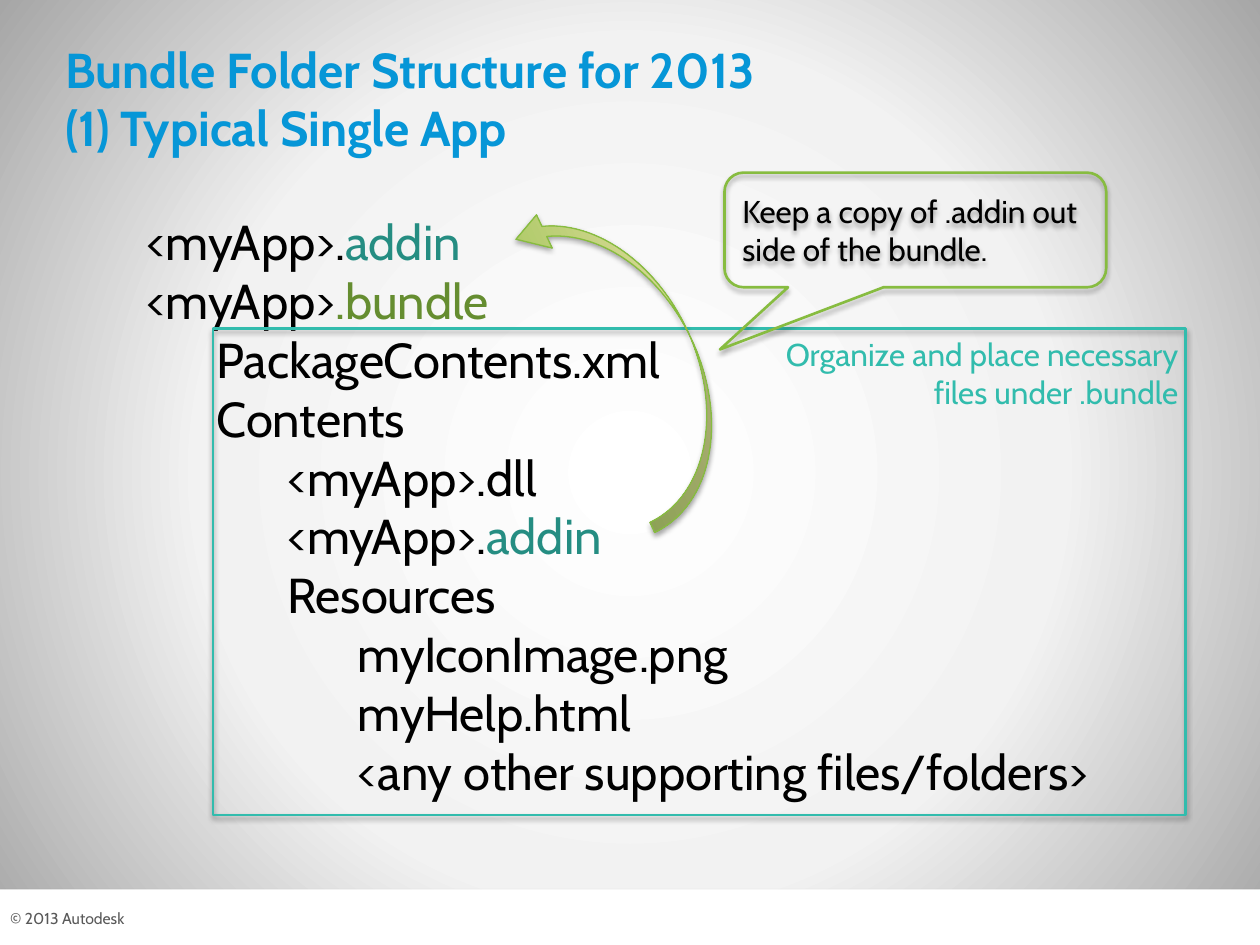
from pptx import Presentation
from pptx.dml.color import RGBColor
from pptx.enum.shapes import MSO_SHAPE
from pptx.enum.text import MSO_ANCHOR, PP_ALIGN
from pptx.oxml import parse_xml
from pptx.oxml.ns import nsdecls, qn
from pptx.util import Inches, Pt

COLORS = {
    "white": "FFFFFF", "pale": "F2F2F2", "edge": "A6A6A6", "black": "000000",
    "grey": "595959", "blue": "0696D7", "teal": "32BCAD", "dark_teal": "258D82",
    "green": "87BC40", "dark_green": "658D30", "cream": "FFE7BD",
}
RGB = {name: RGBColor.from_string(value) for name, value in COLORS.items()}


def add_shadowed_shape(kind, left, top, width, height, line=None, weight=1.5):
    shape = page.shapes.add_shape(kind, Inches(left), Inches(top), Inches(width), Inches(height))
    shape.fill.background()
    if line:
        shape.line.color.rgb = RGB[line]
        shape.line.width = Pt(weight)
    else:
        shape.line.fill.background()
    shape.shadow.inherit = False
    shape._element.spPr.find(qn("a:effectLst")).append(parse_xml(
        f'<a:outerShdw {nsdecls("a")} blurRad="{Pt(3.1)}" dist="{Pt(1.8)}" dir="5400000" '
        f'rotWithShape="0"><a:srgbClr val="{COLORS["black"]}"><a:alpha val="35000"/>'
        '</a:srgbClr></a:outerShdw>'))
    return shape


def add_text_box(left, top, width, height, side=0.1, end=0.05):
    box = page.shapes.add_textbox(Inches(left), Inches(top), Inches(width), Inches(height))
    frame = box.text_frame
    frame.word_wrap = True
    frame.margin_left = frame.margin_right = Inches(side)
    frame.margin_top = frame.margin_bottom = Inches(end)
    return frame


deck = Presentation()
deck.slide_width, deck.slide_height = Inches(10), Inches(7.5)
page = deck.slides.add_slide(deck.slide_layouts[6])

# Radial background
page.background.fill.solid()
background = next(page.element.iter(qn("p:bgPr")))
background.replace(background[0], parse_xml(
    f'<a:gradFill {nsdecls("a")} rotWithShape="1"><a:gsLst>'
    f'<a:gs pos="0"><a:srgbClr val="{COLORS["white"]}"/></a:gs>'
    f'<a:gs pos="55000"><a:srgbClr val="{COLORS["pale"]}"/></a:gs>'
    f'<a:gs pos="100000"><a:srgbClr val="{COLORS["edge"]}"><a:alpha val="56000"/></a:srgbClr></a:gs>'
    '</a:gsLst><a:path path="circle"><a:fillToRect l="50000" t="50000" r="50000" b="50000"/>'
    '</a:path></a:gradFill>'))

# Footer band
band = add_shadowed_shape(MSO_SHAPE.RECTANGLE, 0, 7.06, 10, 0.44)
band.fill.solid()
band.fill.fore_color.rgb = RGB["white"]
footer = add_text_box(0.08, 7.21, 1.79, 0.15, 0, 0).paragraphs[0]
footer.text = "© 2013 Autodesk"

# Title
title = add_text_box(0.46, 0.28, 9.04, 1.09, 0.06, 0.03).paragraphs[0]
title.text = "Bundle Folder Structure for 2013\v(1) Typical Single App"

# Folder tree: indent level, then coloured pieces of the name
TREE = [
    (0, [("<myApp>.", "black"), ("addin", "dark_teal")]),
    (0, [("<myApp>", "black"), (".bundle", "dark_green")]),
    (1, [("PackageContents.xml", "black")]),
    (1, [("Contents", "black")]),
    (2, [("<myApp>.dll", "black")]),
    (2, [("<myApp>.", "black"), ("addin", "dark_teal")]),
    (2, [("Resources", "black")]),
    (3, [("myIconImage.png", "black")]),
    (3, [("myHelp.html", "black")]),
    (3, [("<any other supporting files/folders>", "black")]),
]
tree = add_text_box(1.1, 1.65, 8.4, 5.15, 0.06, 0.03)
for index, (level, pieces) in enumerate(TREE):
    para = tree.add_paragraph() if index else tree.paragraphs[0]
    para._p.get_or_add_pPr().set("marL", str(Inches(0.56 * level)))
    para.font.name, para.font.size = "Cabin", Pt(28)
    for words, color in pieces:
        span = para.add_run()
        span.text = words
        span.font.color.rgb = RGB[color]

# Frame around the bundle's contents, with its note
add_shadowed_shape(MSO_SHAPE.RECTANGLE, 1.69, 2.61, 7.72, 3.86, "teal")
note = add_text_box(5.88, 2.61, 3.57, 0.71).paragraphs[0]
note.text = "Organize and place necessary files under .bundle"
note.alignment = PP_ALIGN.RIGHT

# Curved arrow from the inner .addin to the outer one
arrow = add_shadowed_shape(MSO_SHAPE.CURVED_LEFT_ARROW, 4.57, 1.44, 0.92, 2.72, "green", 0.75)
arrow.rotation = 154.7
arrow._element.spPr.xfrm.set("flipH", "1")
for index, value in enumerate((0.096, 0.317, 0.25)):
    arrow.adjustments[index] = value
arrow.fill.gradient()
arrow.fill.gradient_angle = 0
for stop, color in zip(arrow.fill.gradient_stops, ("green", "cream")):
    stop.color.rgb = RGB[color]

# Callout
callout = add_shadowed_shape(MSO_SHAPE.ROUNDED_RECTANGULAR_CALLOUT, 5.75, 1.37, 3.03, 0.91, "green")
for index, value in enumerate((-0.512, 1.043, 0.167)):
    callout.adjustments[index] = value
callout.text_frame.word_wrap = True
callout.text_frame.vertical_anchor = MSO_ANCHOR.MIDDLE
advice = callout.text_frame.paragraphs[0]
advice.text = "Keep a copy of .addin out side of the bundle."
advice.alignment = PP_ALIGN.LEFT

# Fonts of the single paragraphs
for para, size, color in ((footer, 9, "grey"), (title, 28, "blue"),
                          (note, 18, "teal"), (advice, 18, "black")):
    para.font.name, para.font.size = "Cabin", Pt(size)
    para.font.color.rgb = RGB[color]
title.font.bold = True

deck.save("out.pptx")
